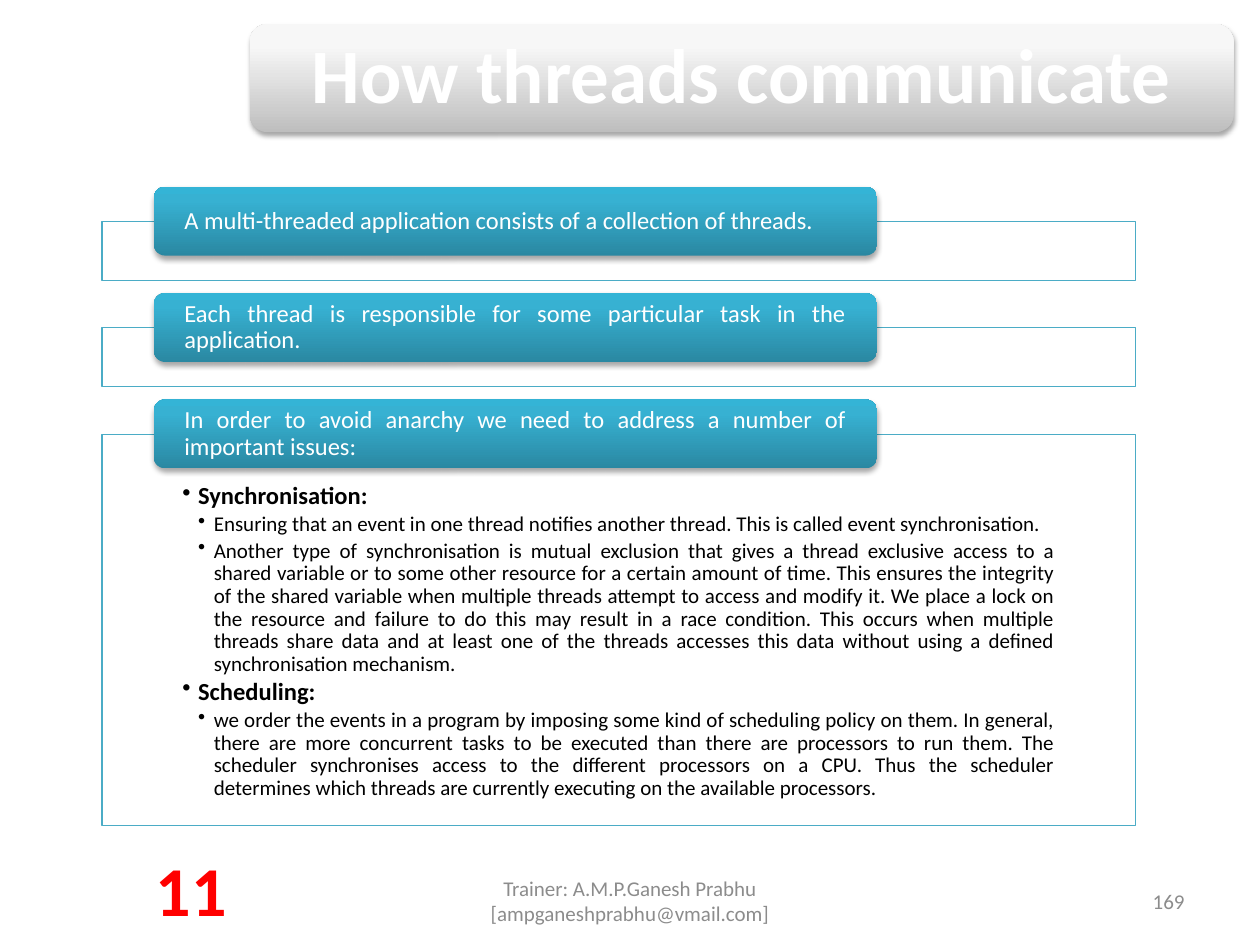
from typing import NamedTuple

from lxml import etree
from pptx import Presentation
from pptx.dml.color import RGBColor
from pptx.enum import shapes, text
from pptx.oxml import ns
from pptx.util import Pt

HUES = {
    "white": "FFFFFF", "black": "000000", "teal": "4BACC6",
    "gray": "8C8C8C", "red": "FF0000",
}
GRADS = {
    "silver": ((0, "BEBEBE"), (80, "F7F7F7"), (100, "F8F8F8")),
    "teal": ((0, "2A88A2"), (80, "37B1D2"), (100, "34B4D6")),
}
ALIGN = text.PP_ALIGN
FONT = "Calibri"


class Box(NamedTuple):
    left: float
    top: float
    width: float
    height: float


class Style(NamedTuple):
    size: float
    hue: str
    bold: bool = False
    align: int = ALIGN.JUSTIFY
    space: float = 0.9


class Step(NamedTuple):
    label: str
    height: float


class Point(NamedTuple):
    level: int
    words: str


class Note(NamedTuple):
    box: Box
    words: str
    style: Style


STEPS = (
    Step("A multi-threaded application consists of a collection of threads.", 33.8),
    Step("Each thread is responsible for some particular task in the application. ", 33.8),
    Step("In order to avoid anarchy we need to address a number of important issues:", 223.5),
)
POINTS = (
    Point(1, "Synchronisation: "),
    Point(2, "Ensuring that an event in one thread notifies another thread. "
             "This is called event synchronisation. "),
    Point(2, "Another type of synchronisation is mutual exclusion that gives a thread "
             "exclusive access to a shared variable or to some other resource for a certain "
             "amount of time. This ensures the integrity of the shared variable when multiple "
             "threads attempt to access and modify it. We place a lock on the resource and "
             "failure to do this may result in a race condition. This occurs when multiple "
             "threads share data and at least one of the threads accesses this data without "
             "using a defined synchronisation mechanism."),
    Point(1, "Scheduling: "),
    Point(2, "we order the events in a program by imposing some kind of scheduling policy on "
             "them. In general, there are more concurrent tasks to be executed than there are "
             "processors to run them. The scheduler synchronises access to the different "
             "processors on a CPU. Thus the scheduler determines which threads are currently "
             "executing on the available processors."),
)
LEVELS = {1: Style(14, "black", True), 2: Style(12, "black")}
NOTES = (
    Note(Box(246, 500.5, 228, 28.75), "Trainer: A.M.P.Ganesh Prabhu [ampganeshprabhu@vmail.com]",
         Style(12, "gray", align=ALIGN.CENTER, space=1.0)),
    Note(Box(516, 500.5, 168, 28.75), "169", Style(12, "gray", align=ALIGN.RIGHT, space=1.0)),
    Note(Box(81.2, 479.8, 56, 55.7), "11",
         Style(40, "red", True, ALIGN.CENTER, 1.0)),
)


def rgb(hue: str) -> RGBColor:
    return RGBColor.from_string(HUES[hue])


def node(root, tag: str, **attrs):
    return etree.SubElement(root, ns.qn(tag), {k: str(v) for k, v in attrs.items()})


def place(box: Box) -> list:
    return [Pt(n) for n in box]


def setup(frame, pads: tuple, anchor: int) -> None:
    frame.word_wrap = True
    frame.vertical_anchor = anchor
    left, top, right, base = map(Pt, pads)
    frame.margin_left, frame.margin_top = left, top
    frame.margin_right, frame.margin_bottom = right, base


def write(para, words: str, style: Style) -> None:
    para.alignment = style.align
    para.line_spacing = style.space
    run = para.add_run()
    run.text = words
    font = run.font
    font.name, font.size, font.bold = FONT, Pt(style.size), style.bold
    font.color.rgb = rgb(style.hue)


def paint(shape, grad: str) -> None:
    shape.fill.gradient()
    shape.line.fill.background()
    shape.shadow.inherit = False
    props = shape.element.spPr
    fill = props.find(ns.qn("a:gradFill"))
    for child in list(fill):
        fill.remove(child)
    stops = node(fill, "a:gsLst")
    for pos, hue in GRADS[grad]:
        node(node(stops, "a:gs", pos=pos * 1000), "a:srgbClr", val=hue)
    node(fill, "a:lin", ang=270 * 60000, scaled=0)
    shade = node(props.find(ns.qn("a:effectLst")), "a:outerShdw", blurRad=Pt(3.1),
                 dist=Pt(1.8), dir=90 * 60000, rotWithShape=0)
    node(node(shade, "a:srgbClr", val=HUES["black"]), "a:alpha", val=35000)


def banner(slide, box: Box, grad: str, words: str, style: Style, pads: tuple) -> None:
    shape = slide.shapes.add_shape(shapes.MSO_SHAPE.ROUNDED_RECTANGLE, *place(box))
    paint(shape, grad)
    setup(shape.text_frame, pads, text.MSO_ANCHOR.MIDDLE)
    write(shape.text_frame.paragraphs[0], words, style)


def panel(slide, box: Box):
    shape = slide.shapes.add_shape(shapes.MSO_SHAPE.RECTANGLE, *place(box))
    shape.shadow.inherit = False
    shape.fill.solid()
    shape.fill.fore_color.rgb = rgb("white")
    tint = shape.element.spPr.find(ns.qn("a:solidFill")).find(ns.qn("a:srgbClr"))
    node(tint, "a:alpha", val=90000)
    shape.line.color.rgb = rgb("teal")
    shape.line.width = Pt(0.75)
    return shape


def outline(frame) -> None:
    setup(frame, (45.8, 28.3, 45.8, 7.9), text.MSO_ANCHOR.TOP)
    for i, point in enumerate(POINTS):
        para = frame.add_paragraph() if i else frame.paragraphs[0]
        para.level = point.level
        props = para._p.get_or_add_pPr()
        props.set("marL", str(Pt(9 * point.level)))
        props.set("indent", str(Pt(-9)))
        node(props, "a:buChar", char="•")
        para.space_after = Pt(2)
        write(para, point.words, LEVELS[point.level])


def label(slide, note: Note) -> None:
    frame = slide.shapes.add_textbox(*place(note.box)).text_frame
    setup(frame, (7.2, 3.6, 7.2, 3.6), text.MSO_ANCHOR.MIDDLE)
    write(frame.paragraphs[0], note.words, note.style)


def main() -> None:
    deck = Presentation()
    deck.slide_width, deck.slide_height = Pt(720), Pt(540)
    slide = deck.slides.add_slide(deck.slide_layouts[6])
    banner(slide, Box(142.6, 13.7, 562.4, 61.9), "silver", "How threads communicate",
           Style(44, "white", True, ALIGN.CENTER), (13,) * 4)
    for i, step in enumerate(STEPS):
        top = 106.7 + 60.8 * i
        shape = panel(slide, Box(58.4, top + 19.8, 590.4, step.height))
        if step is STEPS[-1]:
            outline(shape.text_frame)
        banner(slide, Box(87.9, top, 413.3, 39.4), "teal", step.label,
               Style(14, "white"), (15.6, 0, 15.6, 0))
    for note in NOTES:
        label(slide, note)
    deck.save("out.pptx")


if __name__ == "__main__":
    main()
